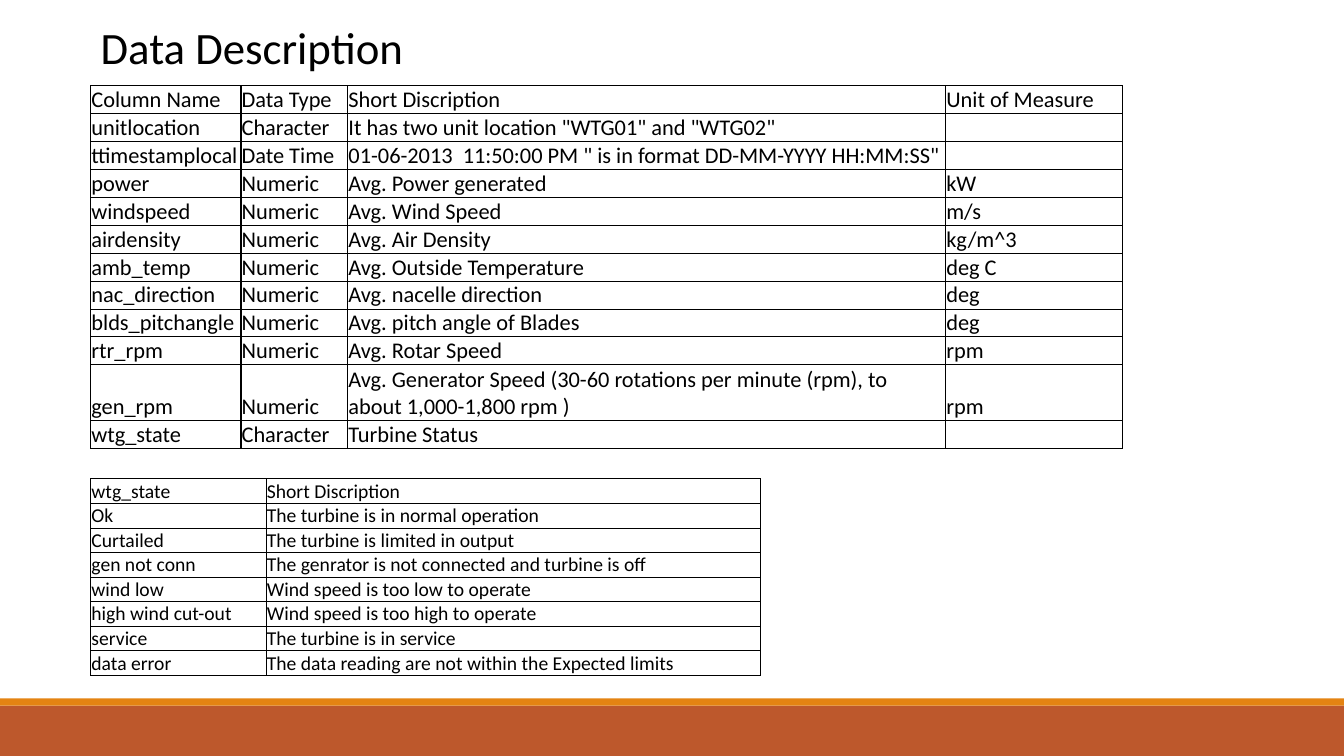
import lxml.etree
import pptx
import pptx.dml.color
import pptx.enum.shapes
import pptx.enum.text
import pptx.oxml.ns
import pptx.util

THEME = {
    "font": "Calibri",
    "ink": "000000",
    "band": "BD582C",
    "stripe": "E48312",
    "title_size": 32,
    "column_size": 16,
    "state_size": 14,
    "heavy": 1,
    "light": 0.5,
}
COLOUR = pptx.dml.color.RGBColor.from_string
ANCHOR = pptx.enum.text.MSO_ANCHOR
qn = pptx.oxml.ns.qn


def write_text(frame, text, size, colour=THEME["ink"], font=THEME["font"]):
    para = frame.paragraphs[0]
    if text:
        span = para.add_run()
        span.text = text
        span.font.size = pptx.util.Pt(size)
        span.font.name = font
        span.font.color.rgb = COLOUR(colour)
    else:
        lxml.etree.SubElement(para._p, qn("a:endParaRPr"), sz=str(size * 100))


def draw_border(cell, side, width):
    line = lxml.etree.Element(qn(f"a:ln{side}"), w=str(pptx.util.Pt(width)))
    fill = lxml.etree.SubElement(line, qn("a:solidFill"))
    lxml.etree.SubElement(fill, qn("a:srgbClr"), val=THEME["ink"])
    cell._tc.get_or_add_tcPr().insert("LRTB".index(side), line)


deck = pptx.Presentation()
deck.slide_width = pptx.util.Inches(13.33)
deck.slide_height = pptx.util.Inches(7.5)
page = deck.slides.add_slide(deck.slide_layouts[6])
WIDTH, HEIGHT = deck.slide_width, deck.slide_height
LEFT = pptx.util.Inches(0.9)

for colour, top, height in (
    (THEME["band"], 7, 0.5),
    (THEME["stripe"], 6.93, 0.07),
):
    bar = page.shapes.add_shape(
        pptx.enum.shapes.MSO_SHAPE.RECTANGLE,
        0, pptx.util.Inches(top), WIDTH, pptx.util.Inches(height),
    )
    bar.shadow.inherit = False
    bar.fill.solid()
    bar.fill.fore_color.rgb = COLOUR(colour)
    bar.line.fill.background()

title = page.shapes.add_textbox(
    LEFT, int(HEIGHT * 0.02), WIDTH - LEFT * 2, int(HEIGHT * 0.12)
)
title.text_frame.word_wrap = True
title.text_frame.vertical_anchor = ANCHOR.TOP
write_text(title.text_frame, "Data Description", size=THEME["title_size"])

data_columns = [
    ("Column Name", "Data Type", "Short Discription", "Unit of Measure"),
    ("unitlocation", "Character", 'It has two unit location "WTG01" and "WTG02"', ""),
    ("ttimestamplocal", "Date Time",
     '01-06-2013  11:50:00 PM " is in format DD-MM-YYYY HH:MM:SS"', ""),
    ("power", "Numeric", "Avg. Power generated", "kW"),
    ("windspeed", "Numeric", "Avg. Wind Speed", "m/s"),
    ("airdensity", "Numeric", "Avg. Air Density", "kg/m^3"),
    ("amb_temp", "Numeric", "Avg. Outside Temperature", "deg C"),
    ("nac_direction", "Numeric", "Avg. nacelle direction", "deg"),
    ("blds_pitchangle", "Numeric", "Avg. pitch angle of Blades", "deg"),
    ("rtr_rpm", "Numeric", "Avg. Rotar Speed", "rpm"),
    ("gen_rpm", "Numeric",
     "Avg. Generator Speed (30-60 rotations per minute (rpm), "
     "to about 1,000-1,800 rpm )", "rpm"),
    ("wtg_state", "Character", "Turbine Status", ""),
]
turbine_states = [
    ("wtg_state", "Short Discription"),
    ("Ok", "The turbine is in normal operation"),
    ("Curtailed", "The turbine is limited in output"),
    ("gen not conn", "The genrator is not connected and turbine is off"),
    ("wind low", "Wind speed is too low to operate"),
    ("high wind cut-out", "Wind speed is too high to operate"),
    ("service", "The turbine is in service"),
    ("data error", "The data reading are not within the Expected limits"),
]

for rows, widths, top, height, size, tall_rows in (
    (data_columns, (1.49, 1.06, 5.93, 1.75), 0.85, 3.6, THEME["column_size"], (10,)),
    (turbine_states, (1.74, 4.9), 4.75, 1.95, THEME["state_size"], ()),
):
    table = page.shapes.add_table(
        len(rows), len(widths), LEFT, pptx.util.Inches(top),
        pptx.util.Inches(sum(widths)), pptx.util.Inches(height),
    ).table
    table.first_row = False
    table.horz_banding = False
    for column, width in zip(table.columns, widths):
        column.width = pptx.util.Inches(width)
    line_height = pptx.util.Inches(height / (len(rows) + len(tall_rows)))
    last = len(rows) - 1
    for r, texts in enumerate(rows):
        table.rows[r].height = line_height * (2 if r in tall_rows else 1)
        for c, text in enumerate(texts):
            cell = table.cell(r, c)
            cell.fill.background()
            cell.vertical_anchor = ANCHOR.BOTTOM
            cell.margin_left = cell.margin_right = pptx.util.Pt(0.5)
            cell.margin_top = pptx.util.Pt(0.5)
            cell.margin_bottom = 0
            write_text(cell.text_frame, text, size=size)
            for side, heavy in (
                ("L", True), ("R", True), ("T", r < 2), ("B", r in (0, last)),
            ):
                draw_border(cell, side, THEME["heavy" if heavy else "light"])

deck.save("out.pptx")
